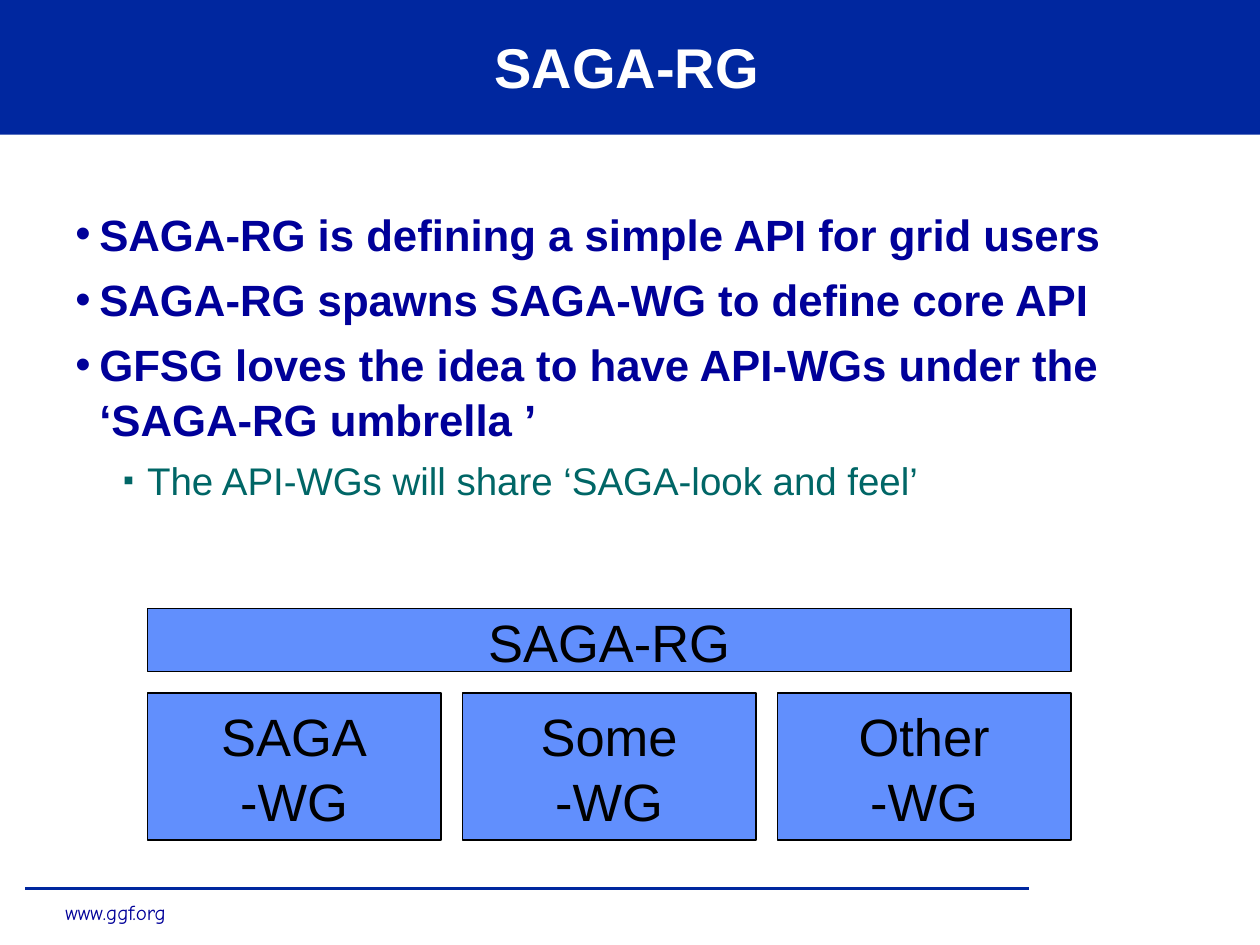
"""Build the SAGA-RG slide: bullets above a diagram of working groups."""
from lxml import etree
from pptx import Presentation
from pptx import util as u
from pptx.dml.color import RGBColor
from pptx.enum import shapes, text
from pptx.oxml.ns import qn

TITLE = "SAGA-RG"
POINTS = [
    (0, "SAGA-RG is defining a simple API for grid users"),
    (0, "SAGA-RG spawns SAGA-WG to define core API"),
    (0, "GFSG loves the idea to have API-WGs under the ‘SAGA-RG umbrella ’"),
    (1, "The API-WGs will share ‘SAGA-look and feel’"),
]
LEVELS = [
    dict(size=25, hue="000099", bold=True, mark="•", scale=100, left=0.19, gap=6.2),
    dict(size=22, hue="006666", bold=False, mark="▪", scale=80, left=0.57, gap=5.5),
]
GROUP = "SAGA-RG"
TEAMS = ["SAGA\n-WG", "Some\n-WG", "Other\n-WG"]
SITE = "www.ggf.org"
NAVY, BLUE = "00279F", "618FFD"
LEFT, WIDE, GAP = 1.17, 7.33, 0.17


def paint(target, hue):
    """Give a fill a solid colour."""
    target.solid()
    target.fore_color.rgb = RGBColor.from_string(hue)


def style(para, size, hue, bold=False, face="Arial"):
    """Set the font of a paragraph."""
    font = para.font
    font.size, font.bold, font.name = u.Pt(size), bold, face
    paint(font.fill, hue)


def place(item, left, top, width, height):
    """Move and size a shape, in inches."""
    item.left, item.top = u.Inches(left), u.Inches(top)
    item.width, item.height = u.Inches(width), u.Inches(height)


def block(slide, left, top, width, height, hue):
    """Add a filled rectangle without a shadow."""
    box = slide.shapes.add_shape(
        shapes.MSO_SHAPE.RECTANGLE, *map(u.Inches, (left, top, width, height)))
    box.shadow.inherit = False
    paint(box.fill, hue)
    return box


def label(slide, words, *area):
    """Add a diagram box with centred text."""
    box = block(slide, *area, BLUE)
    paint(box.line.fill, "000000")
    box.line.width = u.Pt(1)
    frame = box.text_frame
    frame.text, frame.word_wrap = words, False
    frame.vertical_anchor = text.MSO_ANCHOR.MIDDLE
    for para in frame.paragraphs:
        para.alignment, para.line_spacing = text.PP_ALIGN.CENTER, 1.04
        style(para, 30, "000000")


def bullet(para, left, hue, scale, mark):
    """Give a paragraph a hanging bullet."""
    props = para._p.get_or_add_pPr()
    props.set("marL", str(u.Inches(left)))
    props.set("indent", str(-u.Inches(0.19)))
    color = etree.SubElement(props, qn("a:buClr"))
    etree.SubElement(color, qn("a:srgbClr"), val=hue)
    etree.SubElement(props, qn("a:buSzPct"), val=str(scale * 1000))
    etree.SubElement(props, qn("a:buFont"), typeface="Arial")
    etree.SubElement(props, qn("a:buChar"), char=mark)


def head(slide):
    """Draw the top band and the title."""
    title = slide.shapes.title
    band = block(slide, 0, 0, 10, 1.07, NAVY)
    band.line.fill.background()
    title._element.addprevious(band._element)
    place(title, 0, 0, 9.95, 1.02)
    paint(title.fill, NAVY)
    frame = title.text_frame
    frame.text, frame.vertical_anchor = TITLE, text.MSO_ANCHOR.MIDDLE
    para = frame.paragraphs[0]
    para.alignment, para.line_spacing = text.PP_ALIGN.CENTER, 1.04
    style(para, 32, "FFFFFF", True)


def body(slide):
    """Write the bullet list."""
    frame = slide.shapes.add_textbox(
        *map(u.Inches, (0.5, 1.58, 9.47, 5.2))).text_frame
    frame.word_wrap = True
    for row, (depth, words) in enumerate(POINTS):
        para = frame.add_paragraph() if row else frame.paragraphs[0]
        look = LEVELS[depth]
        para.text, para.level, para.line_spacing = words, depth, 1.04
        if row:
            para.space_before = u.Pt(look["gap"])
        bullet(para, look["left"], look["hue"], look["scale"], look["mark"])
        style(para, look["size"], look["hue"], look["bold"])


def foot(slide):
    """Draw the bottom rule and the site address."""
    rule = slide.shapes.add_connector(
        shapes.MSO_CONNECTOR.STRAIGHT, *map(u.Inches, (0.2, 7.05, 8.17, 7.05)))
    paint(rule.line.fill, NAVY)
    rule.line.width = u.Pt(2)
    etree.SubElement(rule._element.spPr, qn("a:effectLst"))
    frame = slide.shapes.add_textbox(
        *map(u.Inches, (0.42, 7.09, 1.01, 0.3))).text_frame
    frame.text, frame.word_wrap = SITE, False
    style(frame.paragraphs[0], 12, "000099", face="Comic Neue")


def main():
    """Build and save the slide."""
    deck = Presentation()
    deck.slide_width, deck.slide_height = u.Inches(10), u.Inches(7.5)
    slide = deck.slides.add_slide(deck.slide_layouts[5])
    head(slide)
    foot(slide)
    body(slide)
    label(slide, GROUP, LEFT, 4.83, WIDE, 0.5)
    width = (WIDE - GAP * (len(TEAMS) - 1)) / len(TEAMS)
    for col, team in enumerate(TEAMS):
        label(slide, team, LEFT + col * (width + GAP), 5.5, width, 1.17)
    deck.save("out.pptx")


if __name__ == "__main__":
    main()
